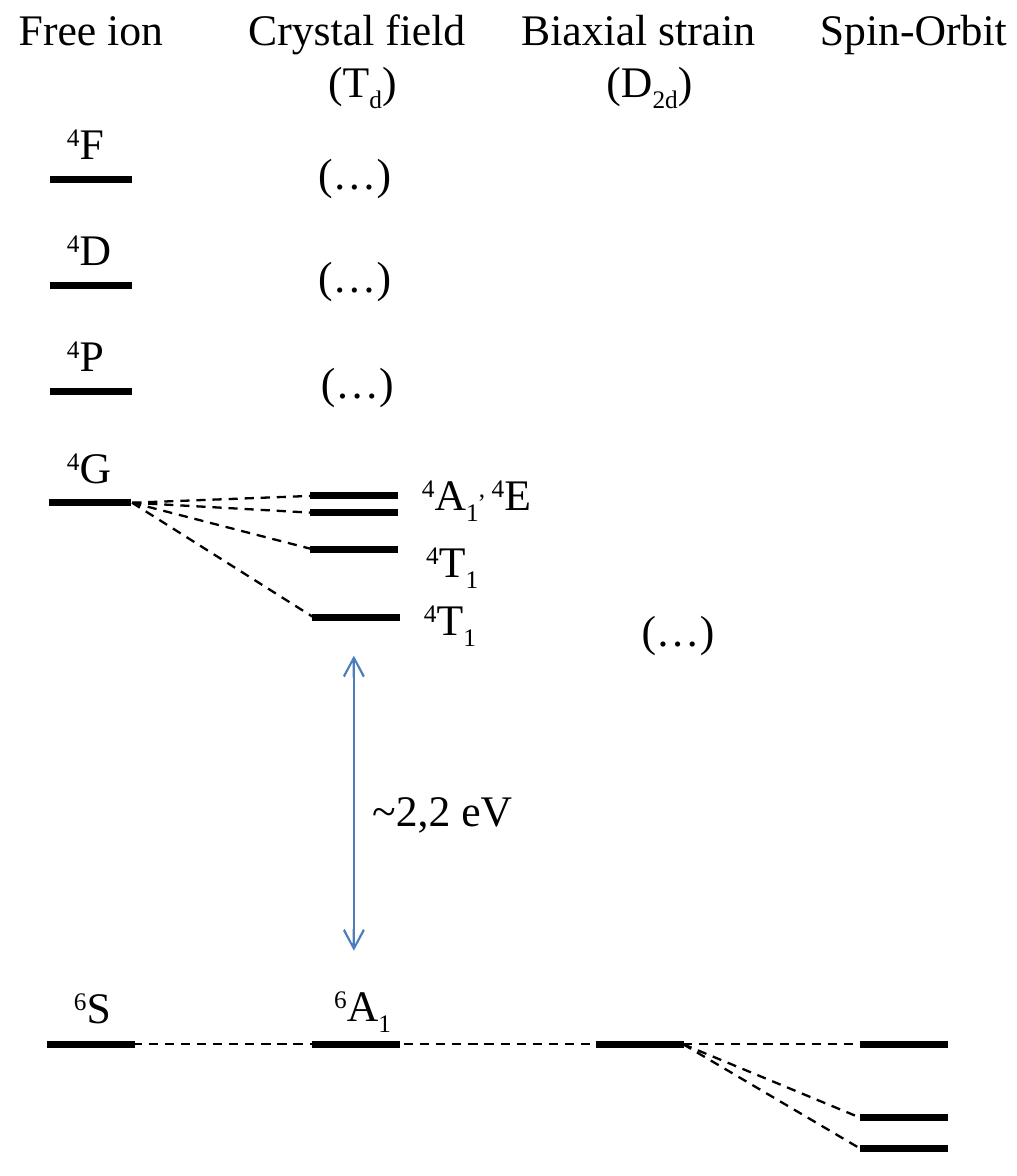
from lxml import etree
from pptx import Presentation
from pptx.dml.color import RGBColor
from pptx.enum.dml import MSO_LINE
from pptx.enum.shapes import MSO_CONNECTOR
from pptx.enum.text import MSO_ANCHOR, MSO_AUTO_SIZE, PP_ALIGN
from pptx.oxml.ns import qn
from pptx.util import Pt

STRAIGHT = MSO_CONNECTOR.STRAIGHT
DASH = MSO_LINE.DASH
TOP = MSO_ANCHOR.TOP
GROW = MSO_AUTO_SIZE.SHAPE_TO_FIT_TEXT
LEFT, CENTER = PP_ALIGN.LEFT, PP_ALIGN.CENTER
SHIFT = {"^": "30000", "_": "-25000"}


def color(code):
    return RGBColor.from_string(code)


def write(para, text, font="Times New Roman", size=14, ink="000000", align=LEFT):
    para.alignment = align
    for part in text.split("|"):
        run = para.add_run()
        run.text = part.lstrip("^_")
        run.font.name = font
        run.font.size = Pt(size)
        run.font.color.rgb = color(ink)
        if part[0] in SHIFT:
            run.font._element.set("baseline", SHIFT[part[0]])


class Scheme:
    ink = "000000"
    blue = "4B7EBC"
    thick = 2.25
    thin = 0.75

    def __init__(self, slide):
        self.shapes = slide.shapes

    def line(self, start, end, width, ink=ink):
        link = self.shapes.add_connector(STRAIGHT, *map(Pt, start + end))
        link.line.width = Pt(width)
        link.line.color.rgb = color(ink)
        etree.SubElement(link._element.spPr, qn("a:effectLst"))
        return link

    def level(self, x, y, width=28.2):
        self.line((x, y), (x + width, y), self.thick)

    def dash(self, start, end):
        self.line(start, end, self.thin).line.dash_style = DASH

    def arrow(self, start, end):
        link = self.line(start, end, self.thin, self.blue)
        for tag in ("a:headEnd", "a:tailEnd"):
            etree.SubElement(link.line._get_or_add_ln(), qn(tag), type="arrow")

    def label(self, text, x, y, width, height=24.2, wrap=False, align=LEFT):
        box = self.shapes.add_textbox(Pt(x), Pt(y), Pt(width), Pt(height))
        frame = box.text_frame
        frame.word_wrap = wrap
        frame.auto_size = GROW
        frame.vertical_anchor = TOP
        for i, row in enumerate(text.split("\n")):
            para = frame.add_paragraph() if i else frame.paragraphs[0]
            write(para, row, ink=self.ink, align=align)


def main():
    deck = Presentation()
    deck.slide_width, deck.slide_height = Pt(326.2), Pt(377.3)
    art = Scheme(deck.slides.add_slide(deck.slide_layouts[6]))

    for text, x, width, height in (
        ("Free ion", -1.4, 61.2, 24.2),
        ("Crystal field\n (T|_d|)", 72, 85, 41),
        ("Biaxial strain \n (D|_2d|)", 159.8, 93.6, 41),
        ("Spin-Orbit", 255.6, 74.9, 24.2),
    ):
        art.label(text, x, -2.9, width, height, align=CENTER)

    for i, (name, width) in enumerate((("F", 27.4), ("D", 29.5), ("P", 27.4))):
        y = 57.7 + 34 * i
        art.level(16, y, 26.4)
        art.label(f"^4|{name}", 14.4, y - 24, width)

    upper = 161.3
    art.level(15.7, upper, 26.4)
    art.label("^4|G", 14.4, upper - 23.8, 29.5)
    for x, y in ((99.4, 159.1), (99.4, 164.5), (99.4, 176.2), (100.1, 198.2)):
        art.level(x, y)
        art.dash((42.4, upper), (x + 0.7, y))

    ground = 335
    for x in (15.1, 100.1, 191.1):
        art.level(x, ground)
    for start, end in ((37.4, 100.1), (129.6, 191.5)):
        art.dash((start, ground), (end, ground))
    for y in (ground, 358.6, 368.5):
        art.level(275.9, y)
        art.dash((219.1, ground), (275.9, y))

    for text, x, y, width in (
        ("^4|A|_1|^, 4|E", 128.2, 146.2, 51.8),
        ("^4|T|_1", 129.6, 167.8, 32.4),
        ("^4|T|_1", 128.9, 186.5, 32.4),
        ("^6|S", 16.6, 311, 27.4),
        ("^6|A|_1", 100.1, 310.3, 33.8),
    ):
        art.label(text, x, y, width)

    for x, y, width in (
        (95, 43.2, 51.1),
        (95, 76.3, 51.1),
        (95.8, 110.2, 51.1),
        (198.7, 190, 38.2),
    ):
        art.label("(…)", x, y, width)

    art.arrow((113.5, 210.4), (113.5, 305))
    art.label("~2,2 eV", 112.3, 247.7, 79.2, wrap=True)

    deck.save("out.pptx")


if __name__ == "__main__":
    main()
